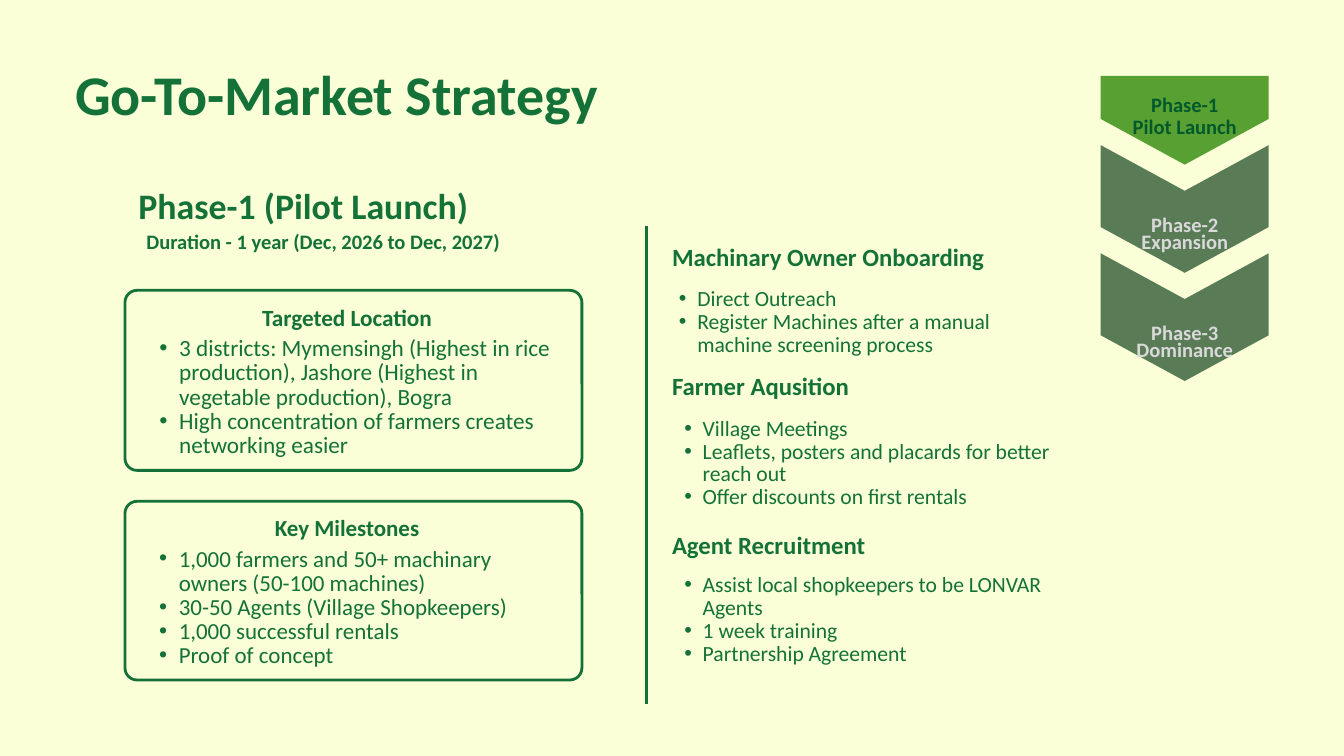
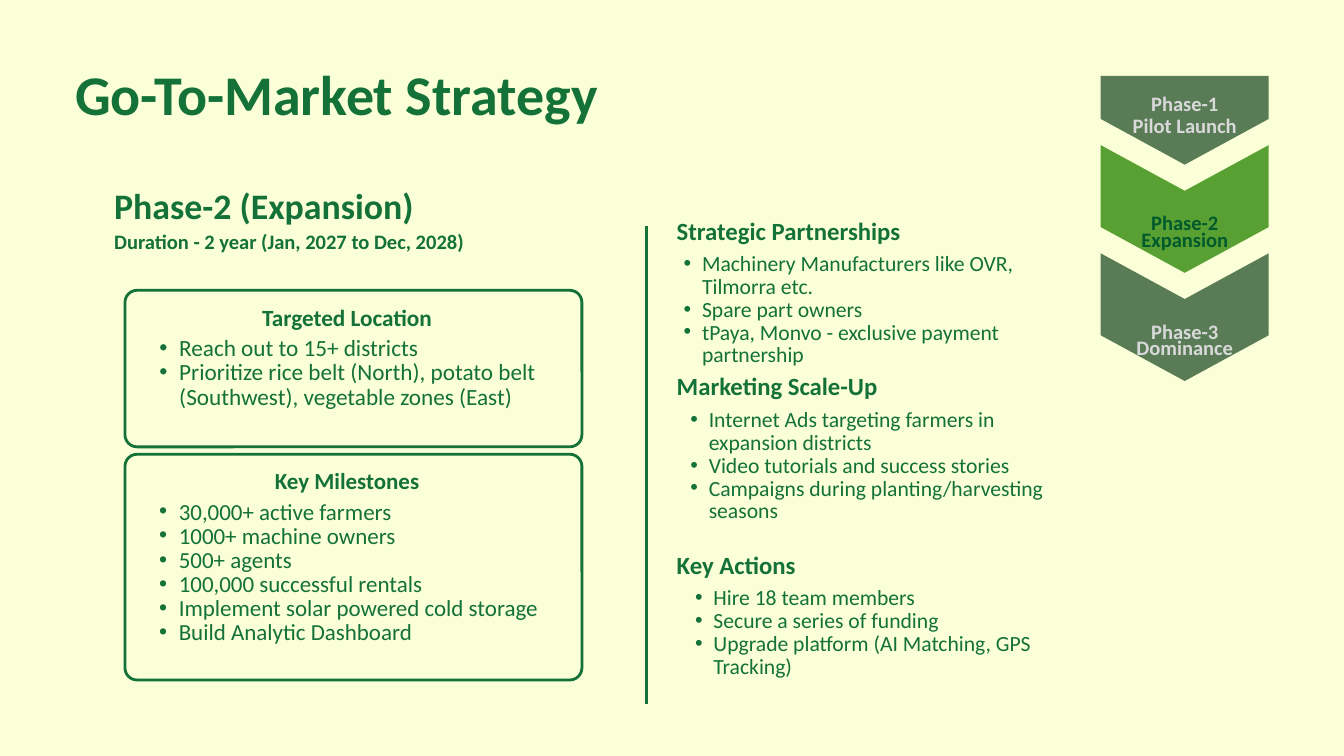
from dataclasses import dataclass

from lxml import etree
from pptx import Presentation
from pptx.dml.color import RGBColor
from pptx.enum.shapes import MSO_CONNECTOR, MSO_SHAPE
from pptx.enum.text import PP_ALIGN
from pptx.oxml.ns import qn
from pptx.util import Inches, Pt

LEFT, CENTER = PP_ALIGN.LEFT, PP_ALIGN.CENTER
ROUNDED, STRAIGHT = MSO_SHAPE.ROUNDED_RECTANGLE, MSO_CONNECTOR.STRAIGHT

COLORS = {
    "background": "FAFFD7",
    "text": "147138",
    "active": "59A032",
    "active_label": "025A2C",
    "idle": "597B56",
    "idle_label": "D9D9D9",
}
FONT = "Calibri"
LEADING = 1.05  # line spacing as a share of the text size
COLUMNS = 20    # square grid cells across the slide

CARD_LEFT, CARD_WIDTH, CARD_RADIUS = 1.86, 6.8, 0.18
DIVIDER, DIVIDER_TOP, DIVIDER_BOTTOM = 9.62, 3.37, 10.47
ARROW_LEFT, ARROW_WIDTH, ARROW_TOP, ARROW_STEP = 16.38, 2.5, 1.13, 1.61
ARROW_SIDE, ARROW_TIP = 2.54, 3.22  # lower corner and tip, from the notch corner
PHASES = [("Phase-1", "Pilot Launch"), ("Phase-2", "Expansion"), ("Phase-3", "Dominance")]


@dataclass
class Card:
    heading: str
    size: float
    top: float
    bottom: float
    items: list


@dataclass
class Section:
    heading: str
    top: float
    list_left: float
    list_top: float
    list_height: float
    items: list


@dataclass
class Strategy:
    active: int
    heading: str
    duration: str
    align: PP_ALIGN
    heading_width: float
    duration_left: float
    duration_width: float
    label_tops: tuple
    section_left: float
    cards: list
    sections: list


class Board:
    """Holds the style, the grid and the current slide."""

    def __init__(self, deck):
        self.deck = deck
        self.cell = deck.slide_width // COLUMNS
        self.slide = None

    def grid(self, *cells):
        return [round(count * self.cell) for count in cells]

    def color(self, name):
        return RGBColor.from_string(COLORS[name])

    def add_slide(self):
        self.slide = self.deck.slides.add_slide(self.deck.slide_layouts[6])
        fill = self.slide.background.fill
        fill.solid()
        fill.fore_color.rgb = self.color("background")

    def text(self, place, lines, size, bold=True, align=LEFT, color="text",
             spacings=None, bullets=False):
        box = self.slide.shapes.add_textbox(*self.grid(*place))
        frame = box.text_frame
        frame.word_wrap = True
        frame.margin_left = frame.margin_right = frame.margin_top = frame.margin_bottom = 0
        frame.text = "\n".join(lines)
        spacings = spacings or [size * LEADING] * len(lines)
        for para, spacing in zip(frame.paragraphs, spacings):
            para.alignment = align
            para.line_spacing = Pt(round(spacing, 1))
            if bullets:
                self.bullet(para, size)
            for span in para.runs:
                span.font.name = FONT
                span.font.size = Pt(size)
                span.font.bold = bold
                span.font.color.rgb = self.color(color)

    def bullet(self, para, size):
        """Hang the bullet by an indent that follows the text size."""
        para.level = 1
        hang = Pt(size * 0.85)
        properties = para._p.get_or_add_pPr()
        properties.set("marL", str(2 * hang))
        properties.set("indent", str(-hang))
        etree.SubElement(properties, qn("a:buFont")).set("typeface", "Arial")
        etree.SubElement(properties, qn("a:buChar")).set("char", "•")

    def bullets(self, place, items, size):
        self.text(place, items, size, bold=False, bullets=True)

    def divider(self):
        line = self.slide.shapes.add_connector(
            STRAIGHT, *self.grid(DIVIDER, DIVIDER_BOTTOM, DIVIDER, DIVIDER_TOP))
        line.line.color.rgb = self.color("text")
        line.line.width = Pt(3)
        etree.SubElement(line._element.spPr, qn("a:effectLst"))

    def card(self, card):
        height = card.bottom - card.top
        frame = self.slide.shapes.add_shape(
            ROUNDED, *self.grid(CARD_LEFT, card.top, CARD_WIDTH, height))
        frame.adjustments[0] = CARD_RADIUS / height
        frame.shadow.inherit = False
        frame.fill.background()
        frame.line.color.rgb = self.color("text")
        frame.line.width = Pt(3)
        self.text((2, card.top + 0.24, 6.33, 0.43), [card.heading], card.size, align=CENTER)
        self.bullets((2.08, card.top + 0.69, 6.33, height - 0.84), card.items, card.size)

    def section(self, left, section):
        self.text((left, section.top, 5.72, 0.48), [section.heading], 26.5)
        self.bullets((section.list_left, section.list_top, 5.9, section.list_height),
                     section.items, 23.2)

    def phase_arrow(self, index, active, label_top):
        """Draw one downward arrow; the first has a flat top, the others a notch."""
        state = "active" if index == active else "idle"
        top = ARROW_TOP - 0.29 + (index - 1) * ARROW_STEP
        left, right = ARROW_LEFT, ARROW_LEFT + ARROW_WIDTH
        middle = (left + right) / 2
        side, tip = top + ARROW_SIDE, top + ARROW_TIP
        if index == 0:
            start = [(left, ARROW_TOP), (right, ARROW_TOP)]
        else:
            notch = top + ARROW_SIDE - 0.54
            start = [(left, side - 1.22), (middle, notch), (right, side - 1.22)]
        points = [self.grid(*point) for point in
                  start + [(right, side), (middle, tip), (left, side)]]
        builder = self.slide.shapes.build_freeform(*points[0])
        builder.add_line_segments(points[1:], close=True)
        arrow = builder.convert_to_shape()
        arrow.shadow.inherit = False
        arrow.fill.solid()
        arrow.fill.fore_color.rgb = self.color(state)
        arrow.line.fill.background()
        self.text((middle - 0.91, label_top, 1.82, 0.79), PHASES[index], 22,
                  align=CENTER, color=state + "_label",
                  spacings=(30.8, 18) if index else None)

    def strategy(self, strategy):
        self.add_slide()
        self.text((1.12, 1.05, 10.13, 1.07), ["Go-To-Market Strategy"], 60, spacings=[60])
        for index, label_top in enumerate(strategy.label_tops):
            self.phase_arrow(index, strategy.active, label_top)
        self.text((1.7, 2.81, strategy.heading_width, 0.69), [strategy.heading], 38.4,
                  align=strategy.align)
        self.text((strategy.duration_left, 3.46, strategy.duration_width, 0.4),
                  [strategy.duration], 22, align=strategy.align)
        for card in strategy.cards:
            self.card(card)
        self.divider()
        for section in strategy.sections:
            self.section(strategy.section_left, section)


PILOT = Strategy(
    active=0,
    heading="Phase-1 (Pilot Launch)",
    duration="Duration - 1 year (Dec, 2026 to Dec, 2027)",
    align=CENTER, heading_width=5.63, duration_left=1.63, duration_width=6.36,
    label_tops=(1.42, 3.1, 4.7), section_left=10,
    cards=[
        Card("Targeted Location", 24.9, 4.32, 7, [
            "3 districts: Mymensingh (Highest in rice production), "
            "Jashore (Highest in vegetable production), Bogra",
            "High concentration of farmers creates networking easier"]),
        Card("Key Milestones", 24.6, 7.46, 10.12, [
            "1,000 farmers and 50+ machinary owners (50-100 machines)",
            "30-50 Agents (Village Shopkeepers)",
            "1,000 successful rentals",
            "Proof of concept"]),
    ],
    sections=[
        Section("Machinary Owner Onboarding", 3.65, 9.83, 4.29, 1.06, [
            "Direct Outreach",
            "Register Machines after a manual machine screening process"]),
        Section("Farmer Aqusition", 5.58, 9.91, 6.22, 1.73, [
            "Village Meetings",
            "Leaflets, posters and placards for better reach out",
            "Offer discounts on first rentals"]),
        Section("Agent Recruitment", 7.94, 9.91, 8.55, 1.73, [
            "Assist local shopkeepers to be LONVAR Agents",
            "1 week training",
            "Partnership Agreement"]),
    ])

EXPANSION = Strategy(
    active=1,
    heading="Phase-2 (Expansion)",
    duration="Duration - 2 year (Jan, 2027 to Dec, 2028)",
    align=LEFT, heading_width=7.64, duration_left=1.7, duration_width=8.37,
    label_tops=(1.4, 3.07, 4.68), section_left=10.07,
    cards=[
        Card("Targeted Location", 24.9, 4.32, 6.65, [
            "Reach out to 15+ districts",
            "Prioritize rice belt (North), potato belt (Southwest), vegetable zones (East)"]),
        Card("Key Milestones", 24.6, 6.76, 10.12, [
            "30,000+ active farmers",
            "1000+ machine owners",
            "500+ agents",
            "100,000 successful rentals",
            "Implement solar powered cold storage",
            "Build Analytic Dashboard"]),
    ],
    sections=[
        Section("Strategic Partnerships", 3.27, 9.9, 3.77, 2.05, [
            "Machinery Manufacturers like OVR, Tilmorra etc.",
            "Spare part owners",
            "tPaya, Monvo - exclusive payment partnership"]),
        Section("Marketing Scale-Up", 5.58, 10, 6.09, 2.06, [
            "Internet Ads targeting farmers in expansion districts",
            "Video tutorials and success stories",
            "Campaigns during planting/harvesting seasons"]),
        Section("Key Actions", 8.24, 10.07, 8.74, 1.4, [
            "Hire 18 team members",
            "Secure a series of funding",
            "Upgrade platform (AI Matching, GPS Tracking)"]),
    ])


def main():
    deck = Presentation()
    deck.slide_width, deck.slide_height = Inches(20), Inches(11.25)
    board = Board(deck)
    for strategy in (PILOT, EXPANSION):
        board.strategy(strategy)
    deck.save("out.pptx")


if __name__ == "__main__":
    main()
